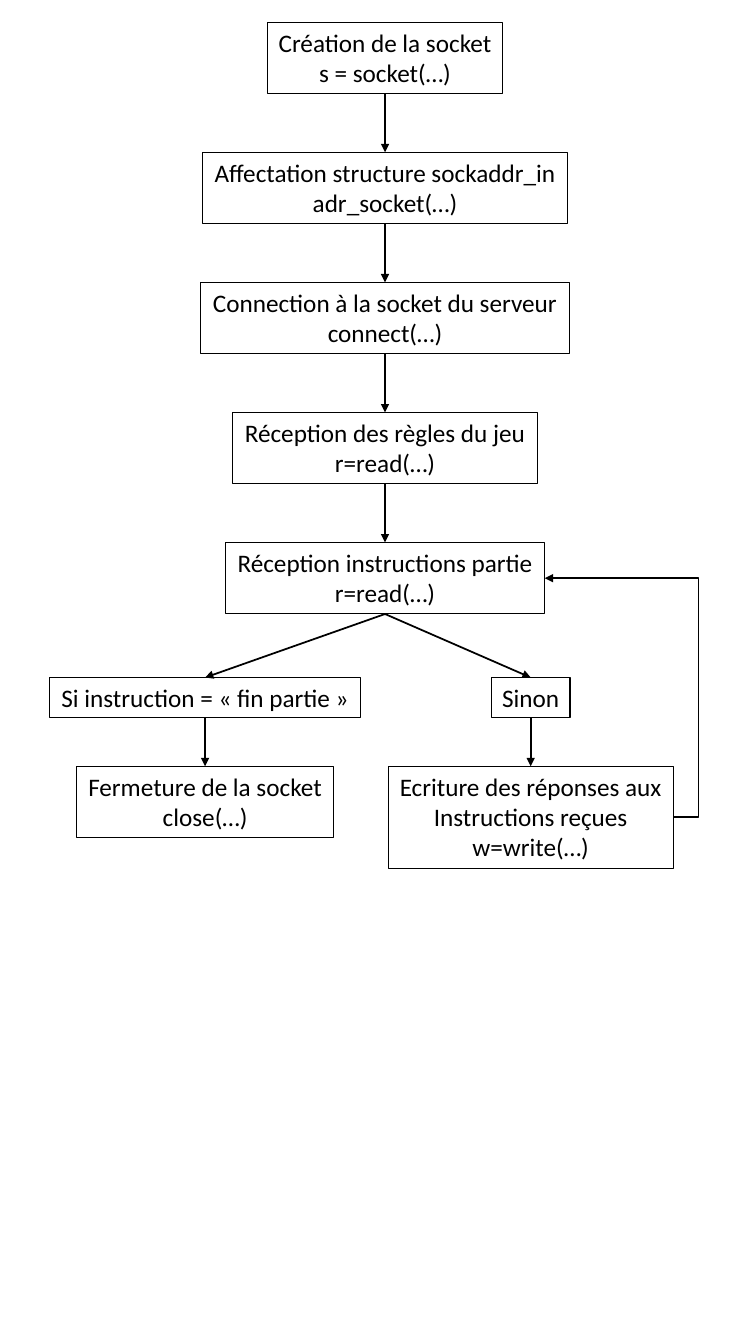
from pptx import Presentation
from pptx.dml.color import RGBColor
from pptx.enum import shapes, text
from pptx.oxml import ns, xmlchemy
from pptx.util import Inches, Pt

TOP, LEFT, BOTTOM, RIGHT = range(4)
STRAIGHT = shapes.MSO_CONNECTOR.STRAIGHT
ELBOW = shapes.MSO_CONNECTOR.ELBOW
HEIGHTS = {1: 0.4, 2: 0.71, 3: 1.01}


def color(value):
    return RGBColor.from_string(value)


def add_step(s, center, top, width, lines):
    sp = s.shapes.add_textbox(Inches(center - width / 2), Inches(top),
                              Inches(width), Inches(HEIGHTS[len(lines)]))
    sp.line.color.rgb = color("000000")
    sp.line.width = Pt(0.75)
    tf = sp.text_frame
    tf.text = "\n".join(lines)
    tf.word_wrap = False
    tf.auto_size = text.MSO_AUTO_SIZE.SHAPE_TO_FIT_TEXT
    for p in tf.paragraphs:
        p.alignment = text.PP_ALIGN.CENTER
        for r in p.runs:
            r.font.name = "Calibri"
            r.font.size = Pt(18)
            r.font.color.rgb = color("000000")
    return sp


def add_arrow(s, start, end, start_site=BOTTOM, end_site=TOP, kind=STRAIGHT):
    arrow = s.shapes.add_connector(kind, 0, 0, 0, 0)
    arrow.begin_connect(start, start_site)
    arrow.end_connect(end, end_site)
    arrow.line.color.rgb = color("000000")
    arrow.line.width = Pt(1.25)
    tail = xmlchemy.OxmlElement("a:tailEnd")
    tail.set("type", "triangle")
    arrow.line._get_or_add_ln().append(tail)
    arrow._element.spPr.append(xmlchemy.OxmlElement("a:effectLst"))
    return arrow


def add_setup(s, left, top, width):
    steps = [
        (2.34, ["Création de la socket", "s = socket(…)"]),
        (3.63, ["Affectation structure sockaddr_in", "adr_socket(…)"]),
        (3.66, ["Connection à la socket du serveur", "connect(…)"]),
        (3.02, ["Réception des règles du jeu", "r=read(…)"]),
        (3.17, ["Réception instructions partie", "r=read(…)"]),
    ]
    boxes = [add_step(s, left + width / 2, top + 1.29 * i, step_width, lines)
             for i, (step_width, lines) in enumerate(steps)]
    for start, end in zip(boxes, boxes[1:]):
        add_arrow(s, start, end)
    return boxes[-1]


def add_branch(s, left, top, width, parent, condition, action):
    center = left + width / 2
    test = add_step(s, center, top, *condition)
    result = add_step(s, center, top + 0.88, *action)
    add_arrow(s, parent, test)
    add_arrow(s, test, result)
    return result


def add_loop(s, start, end, reach):
    arrow = add_arrow(s, start, end, RIGHT, RIGHT, ELBOW)
    guide = xmlchemy.OxmlElement("a:gd")
    guide.set("name", "adj1")
    guide.set("fmla", f"val {round(-100000 * Inches(reach) / arrow.width)}")
    geometry = arrow._element.spPr.find(ns.qn("a:prstGeom"))
    geometry.get_or_add_avLst().append(guide)


prs = Presentation()
prs.slide_width = Inches(7.5)
prs.slide_height = Inches(13.33)
s = prs.slides.add_slide(prs.slide_layouts[6])

instructions = add_setup(s, 1.99, 0.22, 3.66)
add_branch(s, 0.49, 6.72, 3.09, instructions,
           (3.09, ["Si instruction = «\u00a0fin partie\u00a0»"]),
           (2.55, ["Fermeture de la socket", "close(…)"]))
reply = add_branch(s, 3.85, 6.72, 2.83, instructions,
                   (0.78, ["Sinon"]),
                   (2.83, ["Ecriture des réponses aux", "Instructions reçues", "w=write(…)"]))
add_loop(s, reply, instructions, 0.25)

prs.save("out.pptx")
